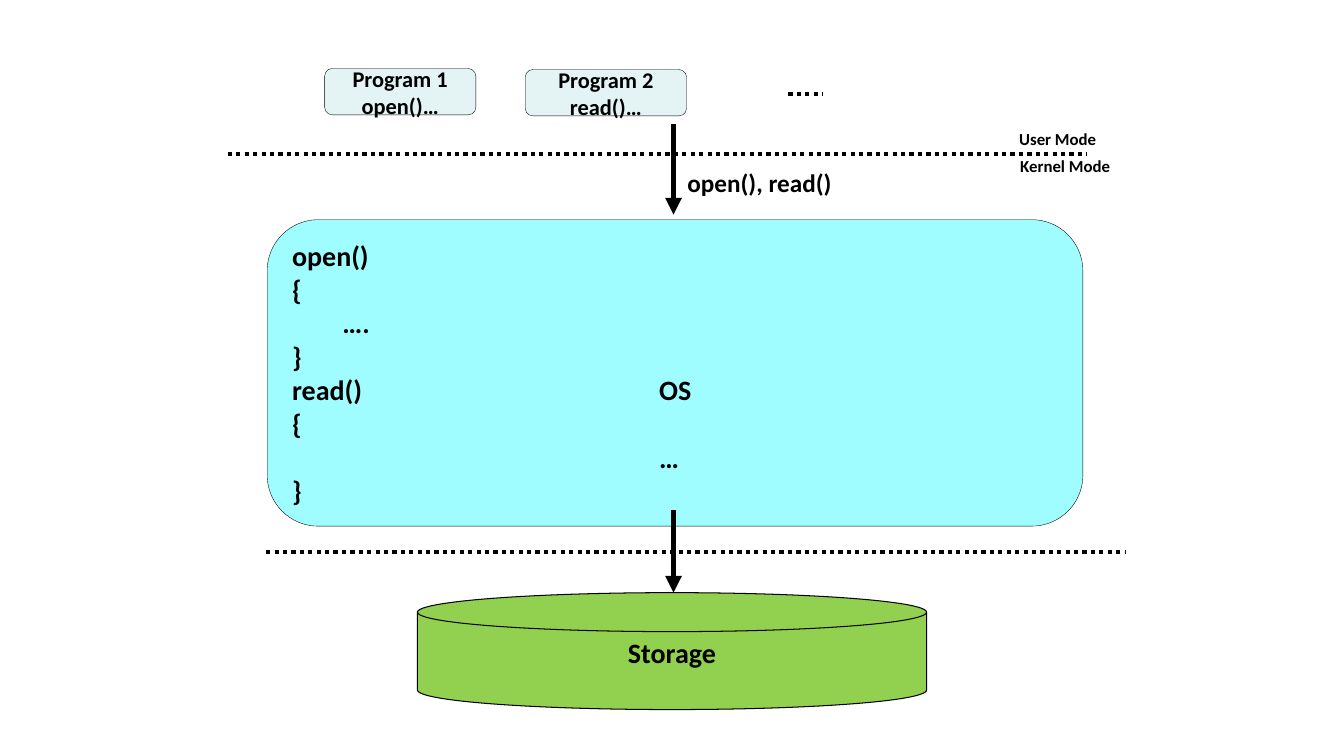
from lxml.etree import SubElement
from pptx import Presentation
from pptx.dml.color import RGBColor
from pptx.enum.dml import MSO_LINE
from pptx.enum.shapes import MSO_CONNECTOR, MSO_SHAPE
from pptx.enum.text import MSO_ANCHOR, MSO_AUTO_SIZE, PP_ALIGN
from pptx.oxml.ns import qn
from pptx.util import Inches, Pt


def colour(hex_string):
    return RGBColor.from_string(hex_string)


class Diagram:
    font = "Calibri"
    ink = "000000"

    def __init__(self, slide):
        self.slide = slide

    def fill_text(self, frame, lines, size, align):
        frame.text = "\n".join(lines)
        for paragraph in frame.paragraphs:
            paragraph.alignment = align
            for run in paragraph.runs:
                run.font.name = self.font
                run.font.size = Pt(size)
                run.font.bold = True
                run.font.color.rgb = colour(self.ink)

    def block(self, preset, box, fill, lines, size, outline=0.25,
              align=PP_ALIGN.CENTER, anchor=MSO_ANCHOR.MIDDLE):
        block = self.slide.shapes.add_shape(preset, *map(Inches, box))
        block.shadow.inherit = False
        block.fill.solid()
        block.fill.fore_color.rgb = colour(fill)
        block.line.color.rgb = colour(self.ink)
        block.line.width = Pt(outline)
        self.fill_text(block.text_frame, lines, size, align)
        block.text_frame.vertical_anchor = anchor
        return block.text_frame

    def label(self, box, text, size, align=PP_ALIGN.CENTER):
        frame = self.slide.shapes.add_textbox(*map(Inches, box)).text_frame
        frame.word_wrap = False
        frame.auto_size = MSO_AUTO_SIZE.SHAPE_TO_FIT_TEXT
        self.fill_text(frame, [text], size, align)

    def line(self, start, end, width):
        connector = self.slide.shapes.add_connector(
            MSO_CONNECTOR.STRAIGHT, *map(Inches, start + end))
        connector.line.color.rgb = colour(self.ink)
        connector.line.width = Pt(width)
        SubElement(connector._element.spPr, qn("a:effectLst"))
        return connector

    def dots(self, left, right, y):
        boundary = self.line((left, y), (right, y), 3)
        boundary.line.dash_style = MSO_LINE.ROUND_DOT

    def arrow_down(self, x, top, bottom):
        arrow = self.line((x, top), (x, bottom), 4)
        outline = arrow._element.spPr.find(qn("a:ln"))
        SubElement(outline, qn("a:tailEnd"), type="triangle")

    def tab_stop(self, paragraph, position):
        stops = SubElement(paragraph._p.get_or_add_pPr(), qn("a:tabLst"))
        SubElement(stops, qn("a:tab"), pos=str(Inches(position)), algn="l")


def main():
    deck = Presentation()
    deck.slide_width, deck.slide_height = Inches(13.33), Inches(7.5)
    diagram = Diagram(deck.slides.add_slide(deck.slide_layouts[6]))

    # Boundary between user mode and kernel mode
    diagram.dots(2.26, 10.78, 1.53)
    diagram.label((10, 1.23, 0.98, 0.3), "User Mode", 12)
    diagram.label((10.01, 1.5, 1.11, 0.3), "Kernel Mode", 12)

    # Programs
    programs = [((5.21, 0.69, 1.6, 0.46), ["Program 2", "read()…"]),
                ((3.22, 0.68, 1.5, 0.46), ["Program 1", "open()…"])]
    for box, lines in programs:
        diagram.block(MSO_SHAPE.ROUNDED_RECTANGLE, box, "E4F3F4", lines, 16)
    diagram.dots(7.82, 8.16, 0.93)

    # Storage below its boundary
    storage = diagram.block(
        MSO_SHAPE.FLOWCHART_MAGNETIC_DISK, (4.14, 5.88, 5.05, 1.16), "92D050",
        ["Storage"], 20, outline=0.75, anchor=MSO_ANCHOR.TOP)
    storage.margin_left = storage.margin_right = Inches(0.07)
    storage.margin_top = storage.margin_bottom = Inches(0.04)
    diagram.dots(2.64, 11.17, 5.48)

    # Operating system with its system calls
    diagram.label((6.72, 1.61, 1.64, 0.4), "open(), read()", 18, PP_ALIGN.LEFT)
    calls = ["open()", "{", "\t….", "}", "read()\tOS", "{", "\t…", "}"]
    system = diagram.block(
        MSO_SHAPE.ROUNDED_RECTANGLE, (2.65, 2.18, 8.09, 3.04), "9FFDFF",
        calls, 20, align=PP_ALIGN.LEFT)
    diagram.tab_stop(system.paragraphs[calls.index("read()\tOS")], 3.64)

    # Calls passing down through the layers
    for top, bottom in [(1.23, 2.13), (5.06, 5.88)]:
        diagram.arrow_down(6.68, top, bottom)

    deck.save("out.pptx")


if __name__ == "__main__":
    main()
